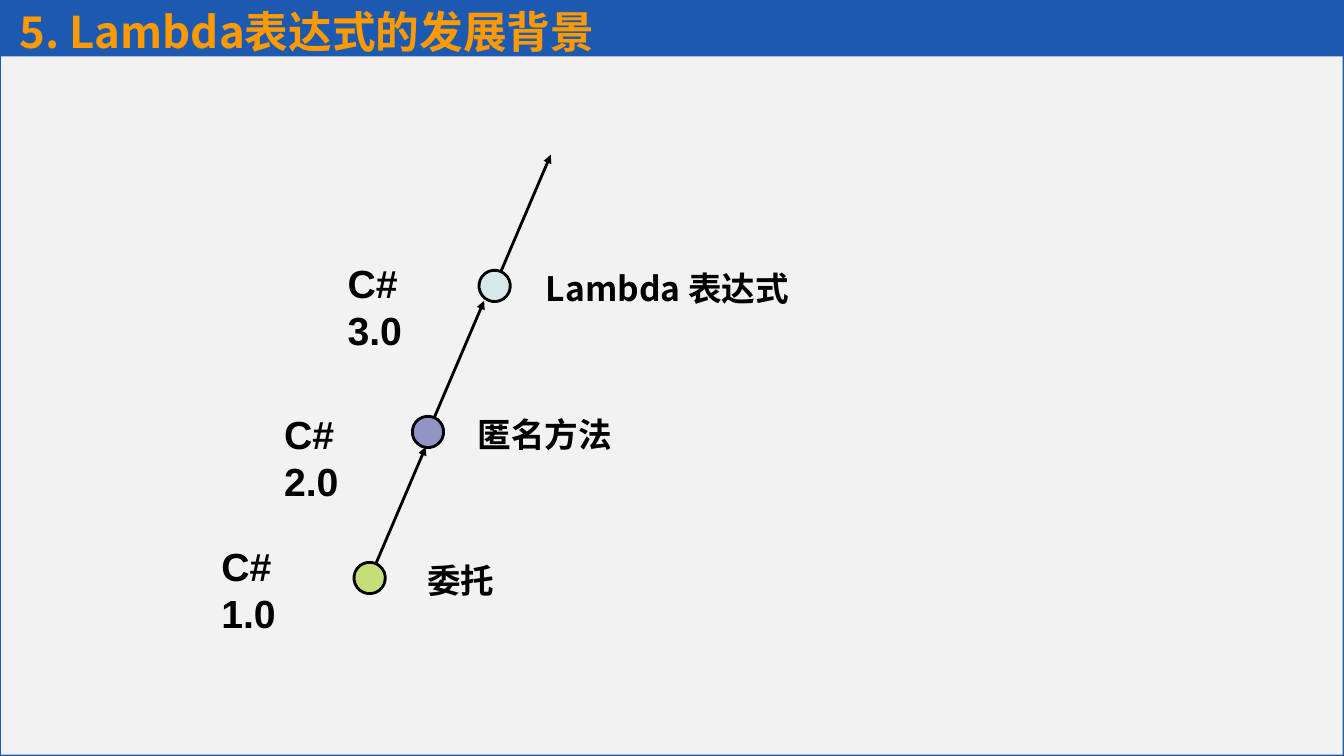
from pptx import Presentation
from pptx.dml.color import RGBColor
from pptx.enum.shapes import MSO_CONNECTOR as Link, MSO_SHAPE as Preset
from pptx.enum.text import MSO_ANCHOR as Anchor
from pptx.oxml.ns import qn
from pptx.util import Cm, Pt
from lxml.etree import SubElement

CJK = "Noto Sans CJK SC"
BLACK = "000000"
NODE_SIZE = 0.79
LABEL_RIGHT = 25.12
FIRST_TOP = 14.17
STEP_UP = 3.68

VERSIONS = [
    ("C# 1.0", "委托", "99CC00", 8.92, (5.33, 13.54), False, 10.52),
    ("C# 2.0", "匿名方法", "333399", 10.39, (6.91, 10.21), True, 11.79),
    ("C# 3.0", "Lambda 表达式", "BBE0E3", 12.07, (8.51, 6.4), False, 13.51),
]


def paint(color_format, value):
    color_format.rgb = RGBColor.from_string(value)


def add_text(shapes, text, left, top, width, height, size, font=CJK,
             color=BLACK, wrap=True, anchor=Anchor.TOP):
    box = shapes.add_textbox(Cm(left), Cm(top), Cm(width), Cm(height))
    frame = box.text_frame
    frame.word_wrap = wrap
    frame.vertical_anchor = anchor
    para = frame.paragraphs[0]
    span = para.add_run()
    span.text = text
    span.font.size = Pt(size)
    span.font.bold = True
    span.font.name = font
    paint(span.font.color, color)
    SubElement(span.font._element, qn("a:ea"), typeface=font)


def add_panel(shapes, left, top, width, height, color):
    panel = shapes.add_shape(Preset.RECTANGLE, Cm(left), Cm(top), Cm(width), Cm(height))
    panel.shadow.inherit = False
    panel.fill.solid()
    paint(panel.fill.fore_color, color)
    panel.line.fill.background()


def add_node(shapes, left, top, color):
    node = shapes.add_shape(Preset.OVAL, Cm(left), Cm(top), Cm(NODE_SIZE), Cm(NODE_SIZE))
    node.rotation = 23.2
    node.shadow.inherit = False
    node.fill.solid()
    paint(node.fill.fore_color, color)
    tint = node._element.spPr.find(qn("a:solidFill")).find(qn("a:srgbClr"))
    SubElement(tint, qn("a:alpha"), val="50000")
    node.line.width = Pt(2)
    paint(node.line.color, BLACK)


def add_arrow(shapes, left, top, across, rise):
    arrow = shapes.add_connector(Link.STRAIGHT, Cm(left), Cm(top),
                                 Cm(left + across), Cm(top - rise))
    arrow.line.width = Pt(2)
    paint(arrow.line.color, BLACK)
    SubElement(arrow.line._get_or_add_ln(), qn("a:tailEnd"), type="triangle")
    SubElement(arrow._element.spPr, qn("a:effectLst"))


def add_version(page, top, version, feature, color, left, version_at, wrap, label_left):
    shapes = page.shapes.add_group_shape().shapes
    add_node(shapes, left, top, color)
    add_arrow(shapes, left + 0.55, top + 0.04, 1.26, 2.95)
    add_text(shapes, version, *version_at, 3.36, 1.45, 28, font="Arial", wrap=wrap)
    add_text(shapes, feature, label_left, top - 0.18, LABEL_RIGHT - label_left, 1.27, 24)


def main():
    deck = Presentation()
    deck.slide_width, deck.slide_height = Cm(33.87), Cm(19.05)
    page = deck.slides.add_slide(deck.slide_layouts[6])
    page.background.fill.solid()
    paint(page.background.fill.fore_color, "1B5AB0")
    add_panel(page.shapes, 0.03, 1.42, 33.81, 17.6, "F2F2F2")
    add_text(page.shapes, "5. Lambda表达式的发展背景", 0.25, 0, 31.34, 1.57, 31.2,
             color="FF9900", anchor=Anchor.MIDDLE)
    for index, version in enumerate(VERSIONS):
        add_version(page, FIRST_TOP - index * STEP_UP, *version)
    deck.save("out.pptx")


if __name__ == "__main__":
    main()
